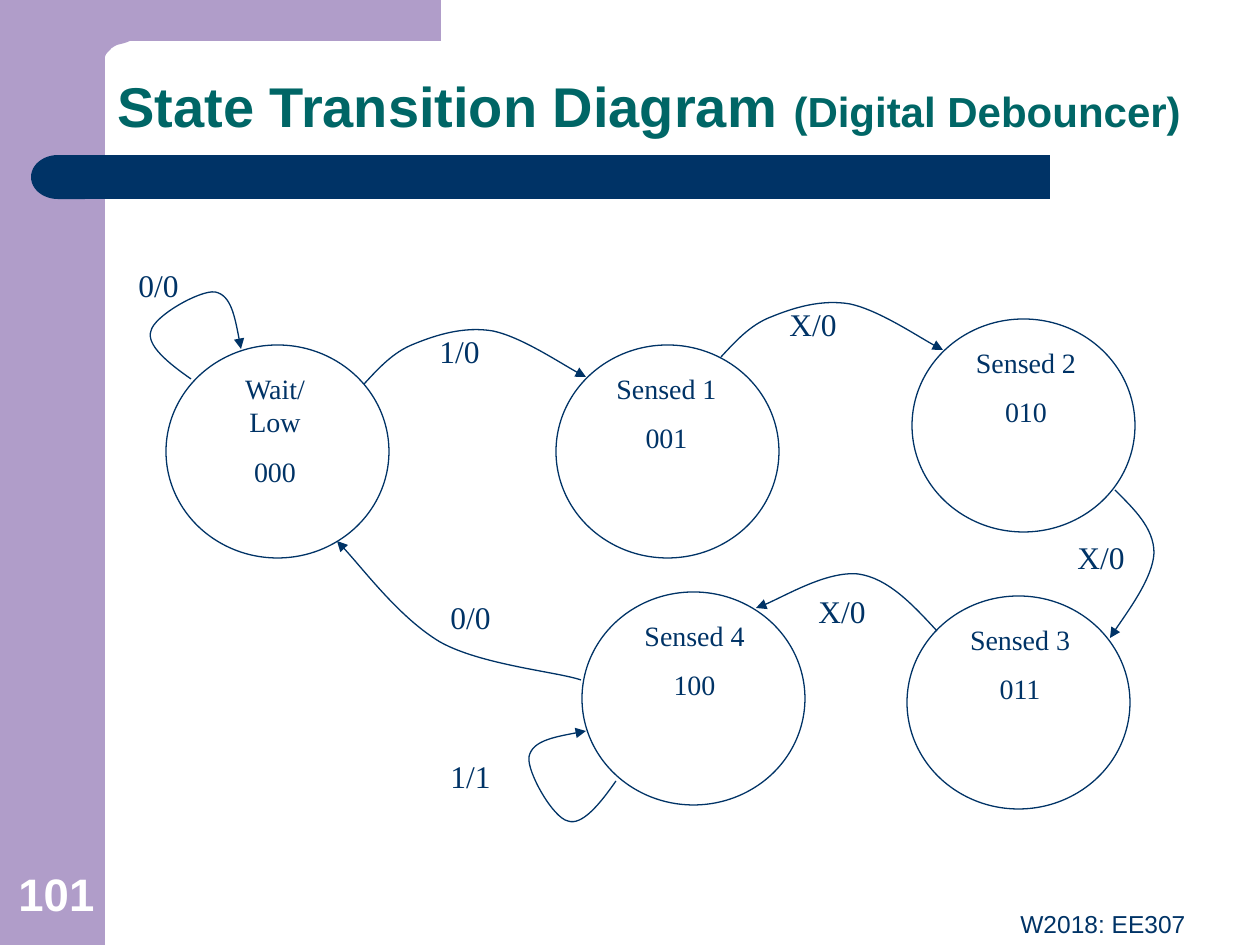
from pptx import Presentation
from pptx import util as u
from pptx.dml.color import RGBColor
from pptx.enum import shapes, text
from pptx.oxml.ns import qn
from pptx.oxml.xmlchemy import OxmlElement

PX = 914400 / 126
COLORS = {"lilac": "B09DC9", "navy": "003366", "teal": "006666", "white": "FFFFFF"}
SERIF, SANS = "Times New Roman", "Arial"

STATE_SIZE = (223, 213)
# circle left and top, caption offset and width, caption lines
STATES = [
    ((40, 85), 59, 100, ["Wait/Low", "000"]),
    ((430, 85), 40, 141, ["Sensed 1", "001"]),
    ((786, 59), 44, 140, ["Sensed 2", "010"]),
    ((781, 336), 35, 156, ["Sensed 3", "011"]),
    ((456, 332), 35, 155, ["Sensed 4", "100"]),
]

# Bezier points, each relative to the start of its curve
ARC = [(14, -15), (29, -32), (50, -40), (72, -49), (100, -58), (129, -53),
       (157, -47), (207, -14), (222, -7)]
LOOP = [(-23, -16), (-45, -34), (-40, -48), (-37, -63), (9, -89), (24, -87),
        (40, -84), (45, -57), (50, -30)]
TURNED_LOOP = [(y, -x) for x, y in LOOP]
DOWN = [(19, 19), (39, 38), (39, 63), (38, 88), (3, 135), (-5, 148)]
BACK = [(-24, -26), (-49, -53), (-79, -57), (-110, -60), (-164, -28), (-181, -23)]
RESET = [(-23, -8), (-100, -15), (-141, -38), (-181, -62), (-223, -118), (-244, -139)]

# curve start, curve, label, label left and top
TRANSITIONS = [
    ((65, 119), LOOP, "0/0", (0, 0)),
    ((238, 124), ARC, "1/0", (301, 66)),
    ((595, 97), ARC, "X/0", (651, 39)),
    ((989, 230), DOWN, "X/0", (939, 272)),
    ((811, 371), BACK, "X/0", (680, 326)),
    ((455, 420), RESET, "0/0", (312, 332)),
    ((490, 521), TURNED_LOOP, "1/1", (312, 491)),
]


def px(*lengths):
    return [round(length * PX) for length in lengths]


def rgb(name):
    return RGBColor.from_string(COLORS[name])


def paint(shape, fill=None, line=None):
    shape.shadow.inherit = False
    if fill:
        shape.fill.solid()
        shape.fill.fore_color.rgb = rgb(fill)
    else:
        shape.fill.background()
    if line:
        shape.line.color.rgb = rgb(line)
        shape.line.width = u.Pt(0.75)
    else:
        shape.line.fill.background()


def add_preset(page, kind, box, **colors):
    shape = page.shapes.add_shape(kind, *px(*box))
    paint(shape, **colors)
    return shape


def add_text(page, box, lines, color, font, anchor="TOP", para_format=None):
    """Each line is a list of (wording, size) spans."""
    frame = page.shapes.add_textbox(*px(*box)).text_frame
    frame.word_wrap = True
    frame.vertical_anchor = getattr(text.MSO_ANCHOR, anchor)
    for index, spans in enumerate(lines):
        para = frame.paragraphs[0] if index == 0 else frame.add_paragraph()
        if index:
            para.space_before = u.Pt(9)
        for name, value in (para_format or {}).items():
            setattr(para, name, value)
        for wording, size in spans:
            span = para.add_run()
            span.text = wording
            span.font.color.rgb = rgb(color)
            for name, value in {**font, "size": u.Pt(size)}.items():
                setattr(span.font, name, value)


def add_outline(page, left, top, start, steps, closed=False):
    """A step is one point for a line, or three points for a Bezier curve."""
    builder = page.shapes.build_freeform(*start, scale=PX)
    builder.add_line_segments([point for step in steps for point in step], close=closed)
    shape = builder.convert_to_shape(*px(left, top))
    nodes = iter(list(shape.element.iter(qn("a:lnTo"))))
    for step in steps:
        group = [next(nodes) for _ in step]
        if len(group) == 3:
            curve = OxmlElement("a:cubicBezTo")
            group[0].addprevious(curve)
            for node in group:
                curve.append(node[0])
                node.getparent().remove(node)
    return shape


def draw_frame(page, left, top):
    add_preset(page, shapes.MSO_SHAPE.RECTANGLE, (left, top, 105, 945), fill="lilac")
    steps = [
        [(441, 41)], [(146, 41)], [(130, 41)],
        [(126, 43), (121, 44), (117, 45)],
        [(113, 47), (110, 49), (108, 52)],
        [(106, 53), (106, 55), (105, 57)],
        [(105, 63)], [(63, 63)], [(63, 0)],
    ]
    paint(add_outline(page, left, top, (441, 0), steps, closed=True), fill="lilac")


def draw_bar(page, left, top, width, height):
    cap = 54
    add_preset(page, shapes.MSO_SHAPE.RECTANGLE,
               (left + cap - 1, top, width - cap + 1, height), fill="navy")
    end = add_preset(page, shapes.MSO_SHAPE.FLOWCHART_DELAY,
                     (left, top, cap, height), fill="navy")
    end.rotation = 180


def draw_state(page, left, top, inset, width, lines):
    add_text(page, (left + inset, top + 20, width, 97), [[(line, 16)] for line in lines],
             "navy", {"name": SERIF}, para_format={"alignment": text.PP_ALIGN.CENTER})
    add_preset(page, shapes.MSO_SHAPE.OVAL, (left, top, *STATE_SIZE), line="navy")


def draw_transition(page, left, top, curve):
    steps = [curve[index:index + 3] for index in range(0, len(curve), 3)]
    arrow = add_outline(page, left, top, (0, 0), steps)
    paint(arrow, line="navy")
    head = OxmlElement("a:tailEnd")
    head.set("type", "triangle")
    arrow.line._get_or_add_ln().append(head)


def draw_diagram(page, left, top):
    for (x, y), inset, width, lines in STATES:
        draw_state(page, left + x, top + y, inset, width, lines)
    for (x, y), curve, label, (label_x, label_y) in TRANSITIONS:
        draw_transition(page, left + x, top + y, curve)
        add_text(page, (left + label_x, top + label_y, 88, 50), [[(label, 18)]],
                 "navy", {"name": SERIF})


def main():
    deck = Presentation()
    deck.slide_width, deck.slide_height = px(1260, 945)
    page = deck.slides.add_slide(deck.slide_layouts[6])
    bold = {"name": SANS, "bold": True}
    draw_frame(page, 0, 0)
    draw_bar(page, 31, 155, 1019, 44)
    add_text(page, (105, 42, 1155, 104),
             [[("State Transition Diagram ", 32), ("(Digital Debouncer)", 24)]],
             "teal", bold, "BOTTOM", {"line_spacing": 0.9})
    draw_diagram(page, 126, 260)
    add_text(page, (0, 861, 113, 66), [[("101", 26)]], "white", bold, "BOTTOM",
             {"alignment": text.PP_ALIGN.CENTER})
    add_text(page, (431, 903, 767, 66), [[("W2018: EE307", 14)]], "navy",
             {"name": SANS}, para_format={"alignment": text.PP_ALIGN.RIGHT})
    deck.save("out.pptx")


if __name__ == "__main__":
    main()
